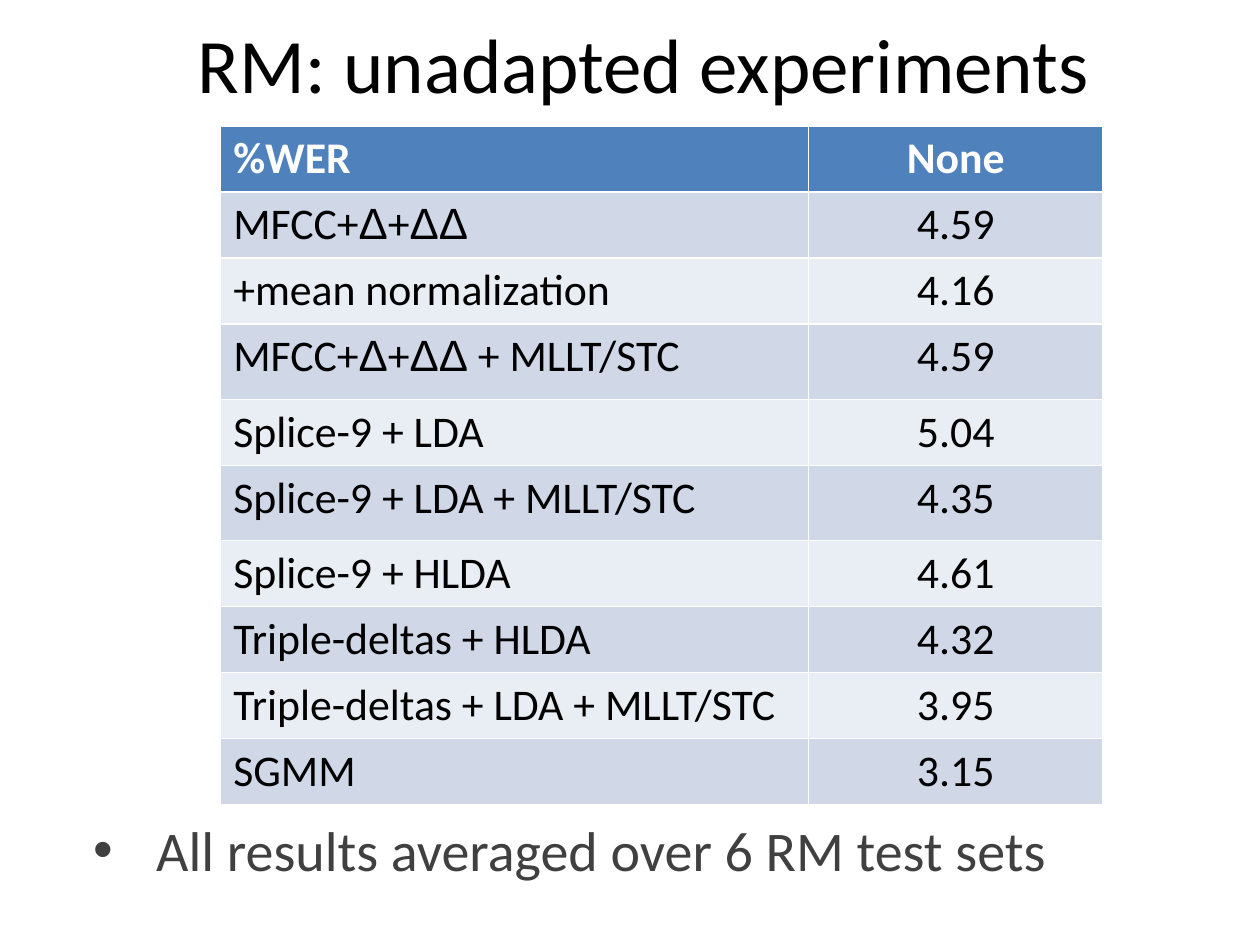
from itertools import groupby
from lxml import etree
from pptx import Presentation
from pptx import util as u
from pptx.dml.color import RGBColor
from pptx.enum import text
from pptx.oxml.ns import qn

TITLE = "RM: unadapted experiments"
NOTE = "All results averaged over 6 RM test sets"
ROWS = [
    ("%WER", "None"),
    ("MFCC+Δ+ΔΔ", "4.59"),
    ("+mean normalization", "4.16"),
    ("MFCC+Δ+ΔΔ + MLLT/STC", "4.59"),
    ("Splice-9 + LDA", "5.04"),
    ("Splice-9 + LDA + MLLT/STC", "4.35"),
    ("Splice-9 + HLDA", "4.61"),
    ("Triple-deltas + HLDA", "4.32"),
    ("Triple-deltas + LDA + MLLT/STC", "3.95"),
    ("SGMM", "3.15"),
]
COLORS = {"text": "000000", "note": "404040", "head_text": "FFFFFF",
          "head": "4F81BD", "odd": "D0D8E8", "even": "E9EDF4"}
COL_WIDTHS = (11.85, 5.93)
ROW_HEIGHT, TALL_HEIGHT = 1.33, 1.52
TALL_ROWS = (3, 5)
ALIGNS = (text.PP_ALIGN.LEFT, text.PP_ALIGN.CENTER)
FORMATS = {
    "title": {"size": u.Pt(44), "bold": False},
    "note": {"size": u.Pt(32), "bold": False},
    "head": {"size": u.Pt(25), "bold": True},
    "body": {"size": u.Pt(25), "bold": False},
}


def write(p, content, fmt, color):
    for is_delta, chars in groupby(content, lambda ch: ch == "Δ"):
        r = p.add_run()
        r.text = "".join(chars)
        r.font.name = "Arial" if is_delta else "Calibri"
        r.font.color.rgb = RGBColor.from_string(COLORS[color])
        for name, value in FORMATS[fmt].items():
            setattr(r.font, name, value)


def add_text(s, box, content, fmt, color, anchor):
    tf = s.shapes.add_textbox(*map(u.Cm, box)).text_frame
    tf.word_wrap = True
    tf.vertical_anchor = anchor
    p = tf.paragraphs[0]
    write(p, content, fmt, color)
    return p


def add_bullet(p, indent):
    pPr = p._p.get_or_add_pPr()
    pPr.set("marL", str(u.Cm(indent)))
    pPr.set("indent", str(-u.Cm(indent)))
    before = etree.SubElement(pPr, qn("a:spcBef"))
    etree.SubElement(before, qn("a:spcPct")).set("val", "20000")
    etree.SubElement(pPr, qn("a:buFont")).set("typeface", "Arial")
    etree.SubElement(pPr, qn("a:buChar")).set("char", "•")


def add_results(s):
    heights = [TALL_HEIGHT if i in TALL_ROWS else ROW_HEIGHT for i in range(len(ROWS))]
    box = (4.45, 2.54, sum(COL_WIDTHS), sum(heights))
    table = s.shapes.add_table(len(ROWS), len(COL_WIDTHS), *map(u.Cm, box)).table
    for col, width in zip(table.columns, COL_WIDTHS):
        col.width = u.Cm(width)
    for i, (row, height, values) in enumerate(zip(table.rows, heights, ROWS)):
        row.height = u.Cm(height)
        fill = "head" if i == 0 else "odd" if i % 2 else "even"
        fmt, color = ("head", "head_text") if i == 0 else ("body", "text")
        for cell, value, align in zip(row.cells, values, ALIGNS):
            cell.fill.solid()
            cell.fill.fore_color.rgb = RGBColor.from_string(COLORS[fill])
            p = cell.text_frame.paragraphs[0]
            p.alignment = align
            write(p, value, fmt, color)


def main():
    prs = Presentation()
    prs.slide_width, prs.slide_height = u.Cm(25.4), u.Cm(19.05)
    s = prs.slides.add_slide(prs.slide_layouts[6])
    p = add_text(s, (2.11, 0.1, 21.74, 2.34), TITLE, "title", "text", text.MSO_ANCHOR.MIDDLE)
    p.alignment = text.PP_ALIGN.CENTER
    p = add_text(s, (1.63, 16.31, 23.7, 1.9), NOTE, "note", "note", text.MSO_ANCHOR.TOP)
    add_bullet(p, 1.27)
    add_results(s)
    prs.save("out.pptx")


if __name__ == "__main__":
    main()
